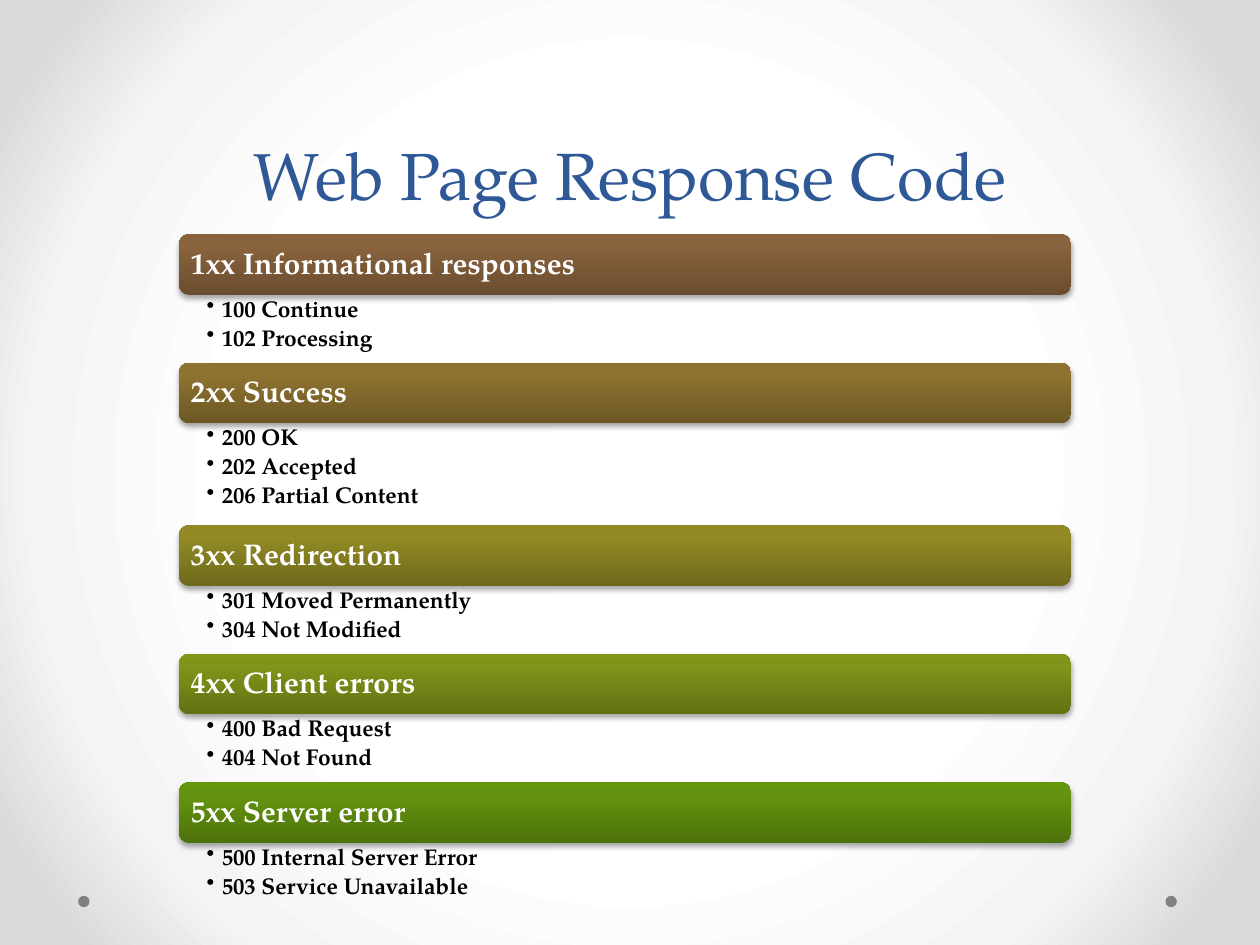
from lxml import etree
from pptx import Presentation
from pptx.dml.color import RGBColor
from pptx.enum.shapes import MSO_SHAPE
from pptx.enum.text import MSO_ANCHOR, MSO_AUTO_SIZE, PP_ALIGN
from pptx.oxml.ns import qn
from pptx.util import Inches, Pt

ROUND, OVAL = MSO_SHAPE.ROUNDED_RECTANGLE, MSO_SHAPE.OVAL
TOP, MID, LOW = MSO_ANCHOR.TOP, MSO_ANCHOR.MIDDLE, MSO_ANCHOR.BOTTOM
LEFT, CENTER = PP_ALIGN.LEFT, PP_ALIGN.CENTER
FONT = "TeX Gyre Pagella"
WIDE, HIGH = 10, 7.5

# Column edges and row heights of the list, in inches
X, Y, W = 1.42, 1.86, 7.08
BAR, ROW = 0.48, 0.27

# Heading, gradient from bottom to top, codes
GROUPS = [
    ("1xx Informational responses", ("694C2F", "89633D", "8B633C"),
     ["100 Continue", "102 Processing"]),
    ("2xx Success", ("6D5825", "8D7230", "8F742E"),
     ["200 OK", "202 Accepted", "206 Partial Content"]),
    ("3xx Redirection", ("6F691C", "908924", "938B22"),
     ["301 Moved Permanently", "304 Not Modified"]),
    ("4xx Client errors", ("637113", "819319", "839617"),
     ["400 Bad Request", "404 Not Found"]),
    ("5xx Server error", ("4D720B", "64940F", "65970C"),
     ["500 Internal Server Error", "503 Service Unavailable"]),
]


def color(text):
    return RGBColor.from_string(text)


def node(parent, tag, **attrs):
    item = etree.SubElement(parent, qn(tag))
    for key, value in attrs.items():
        item.set(key, str(value))
    return item


def blend(fill, root, stops):
    """Give a fill its gradient stops; return the XML for the direction."""
    fill.gradient()
    grad = next(root.iter(qn("a:gradFill")))
    for child in list(grad):
        grad.remove(child)
    steps = node(grad, "a:gsLst")
    for share, tone in stops:
        stop = node(steps, "a:gs", pos=share * 1000)
        node(stop, "a:srgbClr", val=tone)
    return grad


def paint(slide):
    stops = [(50, "FFFFFF"), (76, "F4F4F4"), (92, "DADADA")]
    grad = blend(slide.background.fill, slide.element, stops)
    way = node(grad, "a:path", path="circle")
    node(way, "a:fillToRect", l=50000, t=50000, r=50000, b=50000)


def shade(shape):
    props = shape.element.spPr
    effects = props.find(qn("a:effectLst"))
    cast = node(effects, "a:outerShdw", blurRad=Pt(3.1), dist=Pt(1.8),
                dir=5400000, rotWithShape=0)
    tone = node(cast, "a:srgbClr", val="000000")
    node(tone, "a:alpha", val=35000)


def frame(shape, anchor, pads):
    box = shape.text_frame
    box.word_wrap = True
    box.auto_size = MSO_AUTO_SIZE.NONE
    box.vertical_anchor = anchor
    sides = ("left", "top", "right", "bottom")
    for side, pad in zip(sides, pads):
        setattr(box, f"margin_{side}", Inches(pad))
    return box


def write(para, text, size, tone, bold=True, **form):
    para.text = text
    look = {"name": FONT, "size": Pt(size), "bold": bold}
    for key, value in look.items():
        setattr(para.font, key, value)
    para.font.color.rgb = color(tone)
    for key, value in form.items():
        setattr(para, key, value)


def solid(slide, kind, *place):
    shape = slide.shapes.add_shape(kind, *map(Inches, place))
    shape.shadow.inherit = False
    shape.line.fill.background()
    return shape


def dot(slide, left):
    shape = solid(slide, OVAL, left, 7.11, 0.09, 0.09)
    shape.fill.solid()
    shape.fill.fore_color.rgb = color("808080")


def head(slide, text):
    title = slide.shapes.title
    place = {"left": 0.05 * WIDE, "top": 0, "width": 0.9 * WIDE, "height": 1.75}
    for key, value in place.items():
        setattr(title, key, Inches(value))
    box = frame(title, LOW, (0.1, 0.05, 0.1, 0.05))
    write(box.paragraphs[0], text, 38, "2F5897", bold=False,
          alignment=CENTER, line_spacing=Pt(58))


def bar(slide, top, text, tones):
    shape = solid(slide, ROUND, X, top, W, BAR)
    grad = blend(shape.fill, shape.element.spPr, zip((0, 80, 100), tones))
    node(grad, "a:lin", ang=16200000, scaled=0)
    shade(shape)
    box = frame(shape, MID, [0.07] * 4)
    write(box.paragraphs[0], text, 17, "FFFFFF",
          alignment=LEFT, line_spacing=0.9)


def codes(slide, top, items):
    place = (X, top, W, ROW * len(items))
    shape = slide.shapes.add_textbox(*map(Inches, place))
    box = frame(shape, TOP, (0.22, 0.02, 0.13, 0.02))
    for i, text in enumerate(items):
        para = box.add_paragraph() if i else box.paragraphs[0]
        props = para._p.get_or_add_pPr()
        props.set("marL", str(Inches(0.12)))
        props.set("indent", str(Inches(-0.12)))
        node(props, "a:buChar", char="•")
        write(para, text, 13, "000000", level=1,
              line_spacing=0.9, space_after=Pt(2.6))


def main():
    deck = Presentation()
    deck.slide_width, deck.slide_height = Inches(WIDE), Inches(HIGH)
    slide = deck.slides.add_slide(deck.slide_layouts[5])

    # Backdrop and title
    paint(slide)
    for left in (9.25, 0.62):
        dot(slide, left)
    head(slide, "Web Page Response Code")

    # Stacked list: each group starts where the last one ends
    top = Y
    for text, tones, items in GROUPS:
        bar(slide, top, text, tones)
        codes(slide, top + BAR, items)
        top += BAR + ROW * len(items)

    deck.save("out.pptx")


if __name__ == "__main__":
    main()
